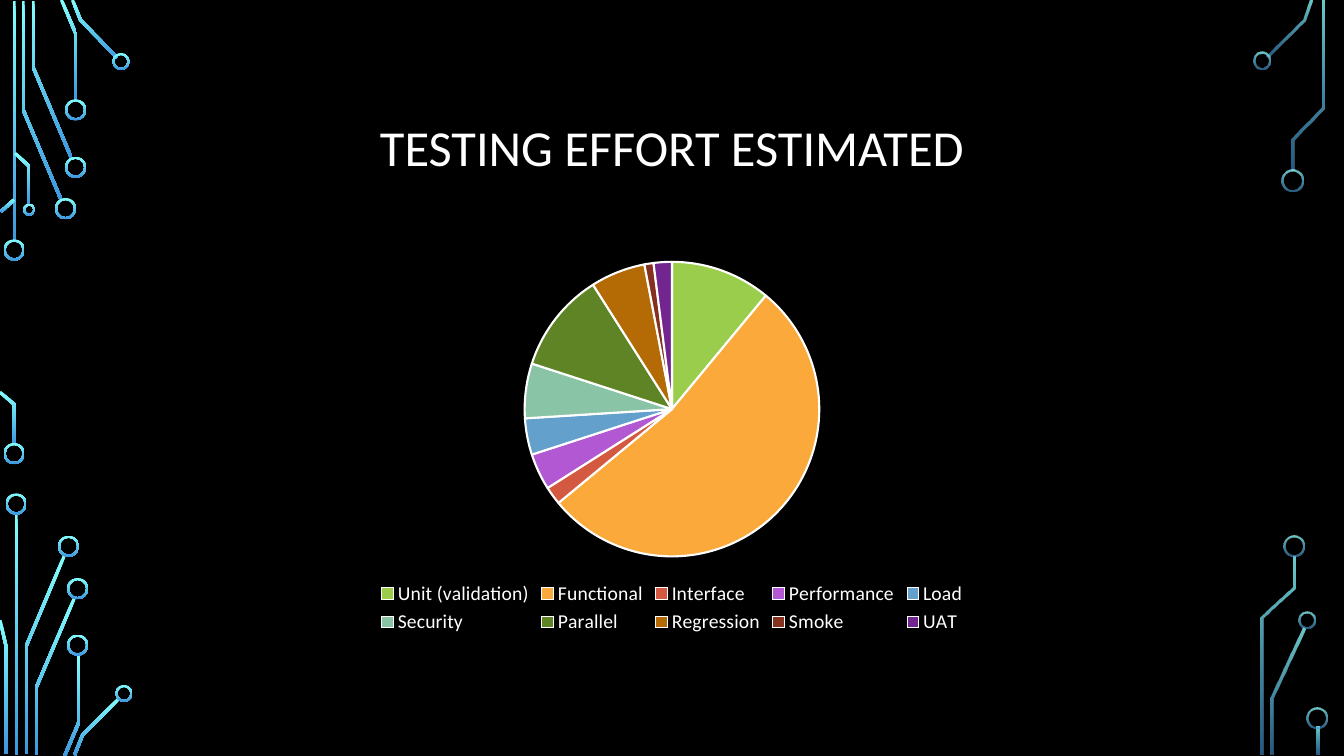
from dataclasses import dataclass
from math import hypot

from lxml.etree import SubElement
from pptx import Presentation
from pptx.chart.data import CategoryChartData
from pptx.dml.color import RGBColor
from pptx.enum.chart import XL_CHART_TYPE, XL_LEGEND_POSITION
from pptx.enum.shapes import MSO_SHAPE
from pptx.enum.text import MSO_ANCHOR, PP_ALIGN
from pptx.oxml.ns import qn
from pptx.util import Emu, Pt

PX = 9144  # EMU per px, 100 px to the inch
FONT = "Calibri"
BLACK, WHITE = "000000", "FFFFFF"
GLOW = ("82FFFF", "3D97DE")  # top and bottom of each circuit part
SOLID, FADED = (100, 100), (80, 60)  # opacity of the two gradient stops
TRACE_W = 3
RING_W = 2

Point = tuple[int, int]


@dataclass
class Trace:
    points: list[Point]


@dataclass
class Ring:
    cx: int
    cy: int
    d: int = 21


@dataclass
class Slice:
    name: str
    value: int
    color: str


LEFT_TRACES = [
    Trace([(14, 1), (14, 240)]),
    Trace([(23, 1), (23, 109), (61, 199)]),
    Trace([(33, 1), (33, 67), (71, 157)]),
    Trace([(61, 0), (75, 33), (75, 100)]),
    Trace([(72, 0), (80, 20), (116, 57)]),
    Trace([(1, 210), (14, 198)]),
    Trace([(15, 152), (29, 165), (29, 203)]),
    Trace([(0, 389), (14, 401), (14, 441)]),
    Trace([(16, 510), (16, 749)]),
    Trace([(26, 748), (26, 641), (64, 551)]),
    Trace([(0, 615), (6, 641), (6, 748)]),
    Trace([(36, 749), (36, 682), (74, 593)]),
    Trace([(64, 750), (78, 717), (78, 650)]),
    Trace([(74, 749), (82, 729), (118, 693)]),
]
LEFT_RINGS = [
    Ring(14, 248), Ring(65, 207), Ring(75, 166), Ring(75, 109),
    Ring(120, 61, 17), Ring(29, 208, 12), Ring(14, 450), Ring(16, 500),
    Ring(68, 542), Ring(77, 584), Ring(77, 640), Ring(123, 688, 17),
]
RIGHT_TRACES = [
    Trace([(1257, 56), (1293, 20), (1300, 0)]),
    Trace([(1282, 169), (1282, 138), (1312, 107), (1312, 1)]),
    Trace([(1262, 749), (1262, 693), (1293, 623)]),
    Trace([(1252, 749), (1252, 613), (1283, 583), (1283, 552)]),
    Trace([(1307, 721), (1307, 749)]),
]
RIGHT_RINGS = [
    Ring(1252, 60, 17), Ring(1282, 179), Ring(1296, 615, 17),
    Ring(1283, 542), Ring(1306, 712),
]
SLICES = [
    Slice("Unit (validation)", 11, "9ACD4C"),
    Slice("Functional", 53, "FAA93A"),
    Slice("Interface", 2, "D35940"),
    Slice("Performance", 4, "B258D3"),
    Slice("Load", 4, "63A0CC"),
    Slice("Security", 6, "8AC4A7"),
    Slice("Parallel", 11, "5E8425"),
    Slice("Regression", 6, "B46A05"),
    Slice("Smoke", 1, "86301F"),
    Slice("UAT", 2, "72258E"),
]


def px(n: float) -> Emu:
    return Emu(round(n * PX))


def rgb(color: str) -> RGBColor:
    return RGBColor.from_string(color)


def style_glow(sp, opacity: tuple[int, int]) -> None:
    """Vertical gradient without outline or shadow."""
    sp.shadow.inherit = False
    sp.line.fill.background()
    sp.fill.gradient()
    sp.fill.gradient_angle = 270
    for i, (stop, color) in enumerate(zip(sp.fill.gradient_stops, GLOW)):
        stop.position = i
        stop.color.rgb = rgb(color)
    for clr, pct in zip(sp._element.spPr.iter(qn("a:srgbClr")), opacity):
        if pct < 100:
            SubElement(clr, qn("a:alpha")).set("val", str(pct * 1000))


def band(points: list[Point], width: int) -> list[tuple[float, float]]:
    """Outline of a mitred band around a centre line."""
    normals = []
    for (x0, y0), (x1, y1) in zip(points, points[1:]):
        length = hypot(x1 - x0, y1 - y0)
        normals.append(((y0 - y1) / length, (x1 - x0) / length))
    near, far = [], []
    for (x, y), (ax, ay), (bx, by) in zip(points, normals[:1] + normals, normals + normals[-1:]):
        k = width / 2 / (1 + ax * bx + ay * by)
        dx, dy = (ax + bx) * k, (ay + by) * k
        near.append((x + dx, y + dy))
        far.append((x - dx, y - dy))
    return near + far[::-1]


def draw_trace(slide, trace: Trace, opacity: tuple[int, int]) -> None:
    outline = [(px(x), px(y)) for x, y in band(trace.points, TRACE_W)]
    builder = slide.shapes.build_freeform(*outline[0])
    builder.add_line_segments(outline[1:], close=True)
    style_glow(builder.convert_to_shape(), opacity)


def draw_ring(slide, ring: Ring, opacity: tuple[int, int]) -> None:
    sp = slide.shapes.add_shape(
        MSO_SHAPE.DONUT, px(ring.cx - ring.d / 2), px(ring.cy - ring.d / 2), px(ring.d), px(ring.d))
    sp.adjustments[0] = RING_W / ring.d
    style_glow(sp, opacity)


def add_text(slide, text: str, *, left: int, top: int, width: int, height: int,
             size: int, color: str) -> None:
    tf = slide.shapes.add_textbox(px(left), px(top), px(width), px(height)).text_frame
    tf.word_wrap = True
    tf.vertical_anchor = MSO_ANCHOR.MIDDLE
    p = tf.paragraphs[0]
    p.alignment = PP_ALIGN.CENTER
    p.line_spacing = 0.9
    r = p.add_run()
    r.text = text
    set_font(r.font, size, color)


def set_font(font, size: int, color: str) -> None:
    font.name = FONT
    font.size = Pt(size)
    font.color.rgb = rgb(color)


def add_pie(slide, slices: list[Slice]) -> None:
    data = CategoryChartData()
    data.categories = [s.name for s in slices]
    data.add_series("Series 1", [s.value for s in slices])
    chart = slide.shapes.add_chart(
        XL_CHART_TYPE.PIE, px(125), px(246), px(1083), px(387), data).chart
    chart.has_title = False
    set_font(chart.font, 10, WHITE)
    chart.has_legend = True
    chart.legend.position = XL_LEGEND_POSITION.BOTTOM
    chart.legend.include_in_layout = False
    set_font(chart.legend.font, 14, WHITE)
    plot = chart.plots[0]
    plot.vary_by_categories = True
    for i, s in enumerate(slices):
        fmt = plot.series[0].points[i].format
        fmt.fill.solid()
        fmt.fill.fore_color.rgb = rgb(s.color)
        fmt.line.color.rgb = rgb(WHITE)
        fmt.line.width = Pt(1.5)


def main() -> None:
    prs = Presentation()
    prs.slide_width, prs.slide_height = px(1333), px(750)
    slide = prs.slides.add_slide(prs.slide_layouts[6])
    slide.background.fill.solid()
    slide.background.fill.fore_color.rgb = rgb(BLACK)

    # Circuit lines along both edges
    for traces, rings, opacity in (
        (LEFT_TRACES, LEFT_RINGS, SOLID),
        (RIGHT_TRACES, RIGHT_RINGS, FADED),
    ):
        for trace in traces:
            draw_trace(slide, trace, opacity)
        for ring in rings:
            draw_ring(slide, ring, opacity)

    # Title and chart
    add_text(slide, "TESTING EFFORT ESTIMATED", left=125, top=68, width=1083, height=162,
             size=36, color=WHITE)
    add_pie(slide, SLICES)
    prs.save("out.pptx")


if __name__ == "__main__":
    main()
